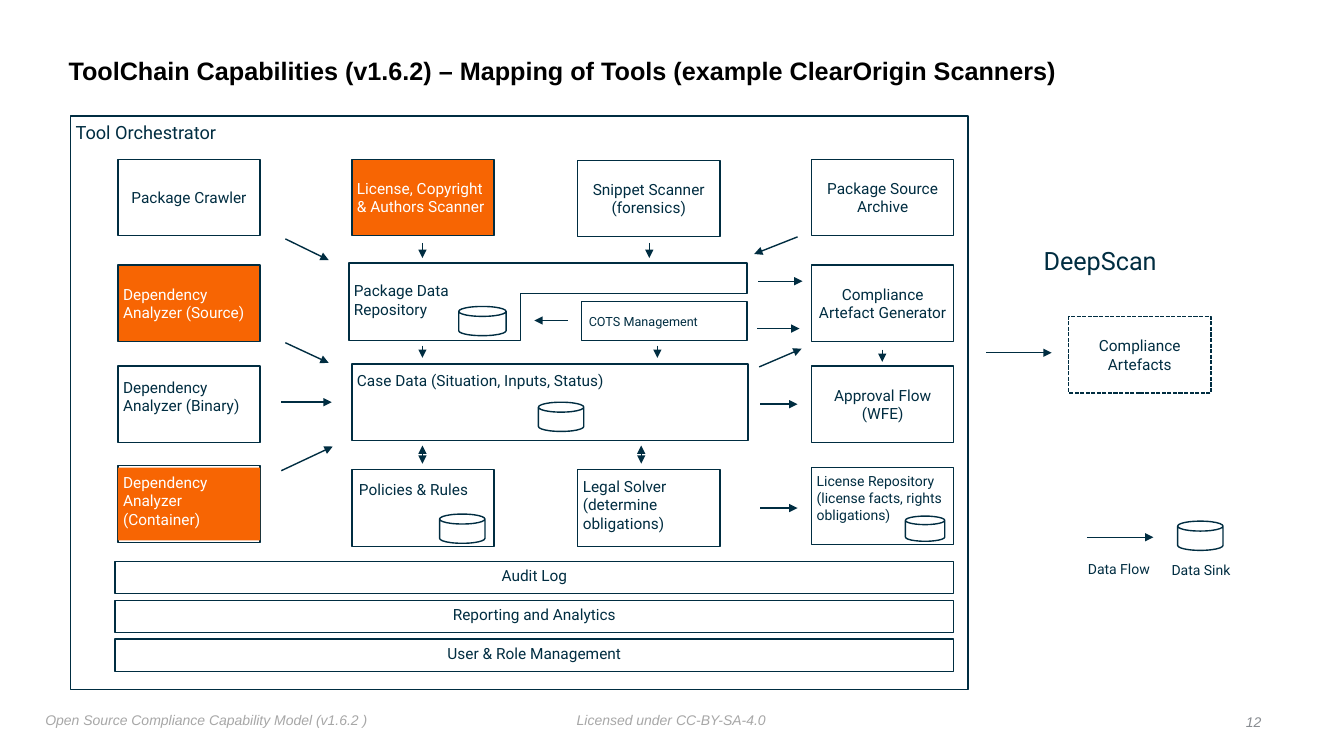
from lxml import etree
from pptx import Presentation
from pptx.dml.color import RGBColor
from pptx.enum.dml import MSO_LINE
from pptx.enum.shapes import MSO_CONNECTOR, MSO_SHAPE as Shape
from pptx.enum.text import MSO_ANCHOR as Anchor, PP_ALIGN as Align
from pptx.oxml.ns import qn
from pptx.util import Inches, Pt

NAVY, WHITE, ORANGE = "002D41", "FFFFFF", "F76503"
GREY, SLATE = "A7A7A7", "888C91"
COLS = (1.17, 3.49, 5.73, 8.05)
WIDE, HIGH = 1.41, 0.76


def color(code):
    """Turn a hex string into a colour."""
    return RGBColor.from_string(code)


def write(shape, text, size=11, ink=NAVY, align=Align.LEFT, drop=None,
          left=0.05, face="Roboto", bold=False, italic=False):
    """Fill the text frame; drop is the offset from the top, None centres it."""
    frame = shape.text_frame
    frame.word_wrap = True
    frame.margin_left = Inches(left)
    frame.margin_right = frame.margin_bottom = Inches(0.05)
    frame.margin_top = Inches(0.05 + (drop or 0))
    frame.vertical_anchor = Anchor.MIDDLE if drop is None else Anchor.TOP
    frame.text = text
    para = frame.paragraphs[0]
    para.alignment = align
    font = para.font
    font.name, font.size = face, Pt(size)
    font.bold, font.italic = bold, italic
    font.color.rgb = color(ink)


def paint(shape, fill=WHITE, line=NAVY):
    """Set fill and outline of a shape without shadow."""
    shape.shadow.inherit = False
    shape.fill.solid()
    shape.fill.fore_color.rgb = color(fill)
    if line:
        shape.line.color.rgb = color(line)
        shape.line.width = Pt(1)
    else:
        shape.line.fill.background()


def box(slide, x, y, w, h, text, fill=WHITE, line=NAVY, **style):
    """Add a rectangle with its caption."""
    shape = slide.shapes.add_shape(
        Shape.RECTANGLE, Inches(x), Inches(y), Inches(w), Inches(h))
    paint(shape, fill, line)
    write(shape, text, ink=WHITE if fill == ORANGE else NAVY, **style)
    return shape


def label(slide, x, y, w, h, text, **style):
    """Add free text."""
    shape = slide.shapes.add_textbox(
        Inches(x), Inches(y), Inches(w), Inches(h))
    write(shape, text, drop=0, **style)


def sink(slide, x, y, w=0.45, h=0.29):
    """Add a data sink drum."""
    drum = slide.shapes.add_shape(
        Shape.CAN, Inches(x), Inches(y), Inches(w), Inches(h))
    drum.adjustments[0] = 0.34
    paint(drum)


def arrow(slide, x1, y1, x2, y2, both=False):
    """Add an arrow, with a head at both ends if asked."""
    link = slide.shapes.add_connector(
        MSO_CONNECTOR.STRAIGHT,
        Inches(x1), Inches(y1), Inches(x2), Inches(y2))
    link.line.color.rgb = color(NAVY)
    link.line.width = Pt(1)
    line = link.line._get_or_add_ln()
    for end in ("a:headEnd", "a:tailEnd") if both else ("a:tailEnd",):
        etree.SubElement(line, qn(end), type="triangle")
    etree.SubElement(link._element.spPr, qn("a:effectLst"))


def store(slide):
    """Add the L-shaped package data repository."""
    form = slide.shapes.build_freeform(Inches(3.46), Inches(2.61))
    turns = ((7.41, 2.61), (7.41, 2.91), (5.16, 2.91),
             (5.16, 3.38), (3.46, 3.38))
    form.add_line_segments([(Inches(x), Inches(y)) for x, y in turns])
    paint(form.convert_to_shape())
    label(slide, 3.46, 2.74, 1.7, 0.51, "Package Data Repository")


def tools(slide):
    """Add the boxes of the tool chain."""
    mid = Align.CENTER
    cells = (
        (0, 1.58, "Package Crawler", {"align": mid}),
        (1, 1.58, "License, Copyright & Authors Scanner", {"fill": ORANGE}),
        (2, 1.59, "Snippet Scanner (forensics)", {"align": mid}),
        (3, 1.58, "Package Source Archive", {"align": mid}),
        (0, 2.63, "Dependency Analyzer (Source)", {"fill": ORANGE}),
        (3, 2.63, "Compliance Artefact Generator", {"align": mid}),
        (0, 3.63, "Dependency Analyzer (Binary)", {"drop": 0.07}),
        (3, 3.63, "Approval Flow (WFE)", {"align": mid}),
        (0, 4.62, "", {}),
        (1, 4.66, "Policies & Rules", {"drop": 0.05, "left": 0.07}),
        (2, 4.66, "Legal Solver (determine obligations)", {"drop": 0.02}),
        (3, 4.64, "License Repository (license facts, rights obligations)",
         {"size": 10, "drop": 0}),
    )
    for col, y, text, style in cells:
        box(slide, COLS[col], y, WIDE, HIGH, text, **style)
    box(slide, COLS[0], 4.64, WIDE, 0.72, "Dependency Analyzer (Container)",
        fill=ORANGE, line=None, drop=0)
    box(slide, COLS[1], 3.61, 3.93, HIGH,
        "Case Data (Situation, Inputs, Status)", drop=0.02)
    box(slide, 5.77, 2.99, 1.64, 0.39, "COTS Management", size=9, left=0.07)
    bars = ("Audit Log", "Reporting and Analytics", "User & Role Management")
    for row, text in enumerate(bars):
        box(slide, 1.14, 5.57 + row * 0.385, 8.32, 0.32, text,
            align=mid, drop=0)
    goal = box(slide, 10.6, 3.14, WIDE, HIGH, "Compliance Artefacts",
               align=mid)
    goal.line.dash_style = MSO_LINE.SQUARE_DOT


def flows(slide):
    """Add the data flow arrows."""
    ways = (
        (2.83, 2.37, 3.26, 2.58), (2.83, 3.4, 3.26, 3.6),
        (2.79, 3.99, 3.29, 3.99), (2.79, 4.67, 3.3, 4.43),
        (4.19, 2.41, 4.19, 2.56), (6.44, 2.41, 6.44, 2.56),
        (4.19, 3.43, 4.19, 3.55), (6.52, 3.43, 6.52, 3.55),
        (5.63, 3.18, 5.3, 3.18), (7.91, 2.35, 7.48, 2.52),
        (7.52, 2.79, 7.96, 2.79), (7.51, 3.26, 7.93, 3.26),
        (7.53, 3.64, 7.95, 3.46), (7.54, 4.01, 7.91, 4.01),
        (7.54, 5.04, 7.91, 5.04), (8.75, 3.47, 8.75, 3.59),
        (9.78, 3.5, 10.43, 3.5), (10.78, 5.33, 11.44, 5.33),
    )
    for way in ways:
        arrow(slide, *way)
    for x in (4.19, 6.36):
        arrow(slide, x, 4.6, x, 4.42, both=True)


def main():
    """Build and save the slide."""
    deck = Presentation()
    deck.slide_width, deck.slide_height = Inches(13.33), Inches(7.5)
    slide = deck.slides.add_slide(deck.slide_layouts[5])

    title = slide.shapes.title
    title.left, title.top = Inches(0.63), Inches(0.39)
    title.width, title.height = Inches(10.75), Inches(0.65)
    write(title, "ToolChain Capabilities (v1.6.2) – Mapping of Tools "
          "(example ClearOrigin Scanners)",
          size=18, ink="000000", face="Arial", bold=True)
    title.text_frame.paragraphs[0].line_spacing = 0.9

    box(slide, 0.7, 1.15, 8.9, 5.69, "Tool Orchestrator", size=13, drop=0)
    tools(slide)
    store(slide)
    for spot in ((4.55, 3.04, 0.47), (5.34, 3.99), (4.36, 5.1),
                 (8.98, 5.12, 0.39, 0.25), (11.68, 5.17)):
        sink(slide, *spot)
    flows(slide)

    label(slide, 10.3, 2.38, 1.4, 0.4, "DeepScan", size=18)
    label(slide, 10.74, 5.51, 0.8, 0.29, "Data Flow", size=10)
    label(slide, 11.57, 5.52, 0.8, 0.29, "Data Sink", size=10)

    foot = {"size": 10, "face": "Arial", "italic": True}
    label(slide, 0.4, 7.01, 3.6, 0.27,
          "Open Source Compliance Capability Model (v1.6.2 )",
          ink=GREY, **foot)
    label(slide, 5.67, 7.01, 2.2, 0.25, "Licensed under CC-BY-SA-4.0",
          ink=GREY, **foot)
    label(slide, 12.16, 7.03, 0.4, 0.25, "12",
          ink=SLATE, align=Align.RIGHT, **foot)
    deck.save("out.pptx")


if __name__ == "__main__":
    main()
